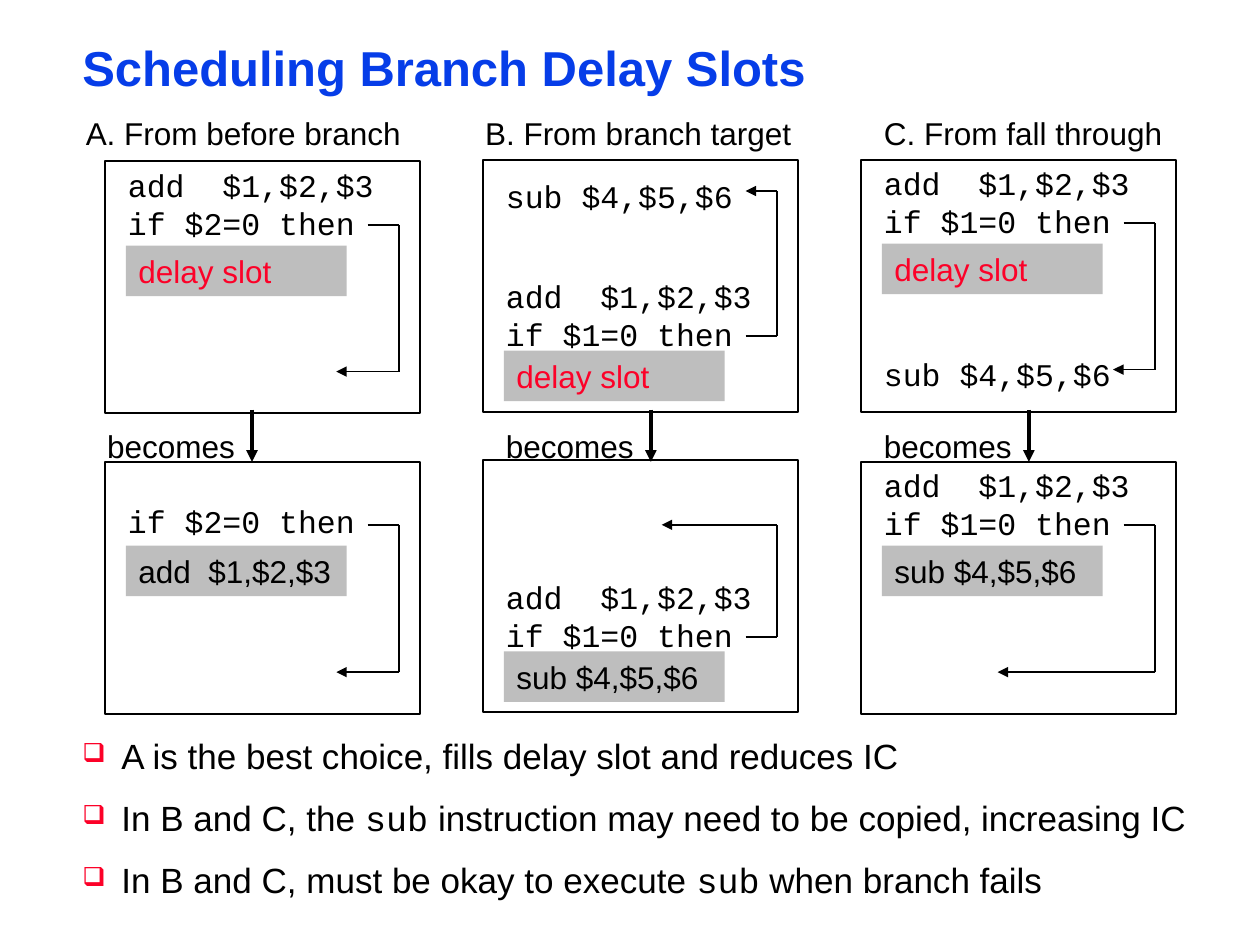
from lxml import etree
from pptx import Presentation
from pptx import util as u
from pptx.dml.color import RGBColor
from pptx.enum import shapes, text
from pptx.oxml.ns import qn

SANS, MONO = "Arial", "Courier New"
BLACK, RED, BLUE, GREY = "000000", "FC0128", "063DE8", "BEBEBE"


def color(value):
    return RGBColor.from_string(value)


class Slide:
    def __init__(self, page):
        self.page = page

    def style(self, para, size, font=SANS, ink=BLACK):
        para.font.size = u.Pt(size)
        para.font.name = font
        para.font.color.rgb = color(ink)
        para.alignment = text.PP_ALIGN.LEFT

    def margins(self, frame, side, end):
        frame.margin_left = frame.margin_right = u.Cm(side)
        frame.margin_top = frame.margin_bottom = u.Cm(end)
        frame.word_wrap = True

    def title(self, words, left, top, width, height):
        box = self.page.shapes.title
        box.left, box.top, box.width, box.height = map(u.Cm, (left, top, width, height))
        frame = box.text_frame
        frame.text = words
        frame.auto_size = text.MSO_AUTO_SIZE.NONE
        frame.vertical_anchor = text.MSO_ANCHOR.MIDDLE
        self.margins(frame, 0.18, 0.08)
        para = frame.paragraphs[0]
        self.style(para, 28, ink=BLUE)
        para.font.bold = True
        para.line_spacing = 0.87

    def label(self, lines, left, top, width, height=1.02, font=SANS):
        box = self.page.shapes.add_textbox(*map(u.Cm, (left, top, width, height)))
        frame = box.text_frame
        self.margins(frame, 0.25, 0.13)
        frame.text = "\n".join(lines)
        for para in frame.paragraphs:
            self.style(para, 18, font)

    def rectangle(self, left, top, width, height):
        box = self.page.shapes.add_shape(
            shapes.MSO_SHAPE.RECTANGLE, *map(u.Cm, (left, top, width, height)))
        box.shadow.inherit = False
        return box

    def frame(self, left, top, width, height):
        box = self.rectangle(left, top, width, height)
        box.fill.background()
        box.line.color.rgb = color(BLACK)
        box.line.width = u.Pt(1)

    def slot(self, words, left, top, ink):
        box = self.rectangle(left, top, 4.45, 1.02)
        box.fill.solid()
        box.fill.fore_color.rgb = color(GREY)
        box.line.fill.background()
        frame = box.text_frame
        self.margins(frame, 0.25, 0.13)
        frame.margin_right = 0
        frame.vertical_anchor = text.MSO_ANCHOR.MIDDLE
        frame.text = words
        self.style(frame.paragraphs[0], 18, ink=ink)

    def line(self, start, end, width=1, arrow=False):
        line = self.page.shapes.add_connector(
            shapes.MSO_CONNECTOR.STRAIGHT, *map(u.Cm, (*start, *end)))
        line.line.color.rgb = color(BLACK)
        line.line.width = u.Pt(width)
        if arrow:
            etree.SubElement(line.line._get_or_add_ln(), qn("a:tailEnd"), type="triangle")
        etree.SubElement(line._element.spPr, qn("a:effectLst"))

    def branch(self, left, right, top, target_left, target_top):
        self.line((left, top), (right, top))
        self.line((right, top), (right, target_top))
        self.line((right, target_top), (target_left, target_top), arrow=True)

    def bullets(self, items, left, top, width, height):
        box = self.page.shapes.add_textbox(*map(u.Cm, (left, top, width, height)))
        frame = box.text_frame
        self.margins(frame, 0.18, 0.08)
        for index, item in enumerate(items):
            para = frame.paragraphs[0] if index == 0 else frame.add_paragraph()
            self.style(para, 20)
            para.line_spacing = 0.9
            para.space_after = u.Pt(13.8)
            for words, font in item:
                span = para.add_run()
                span.text = words
                span.font.name = font
            props = para._p.get_or_add_pPr()
            props.set("marL", str(u.Cm(0.79)))
            props.set("indent", str(u.Cm(-0.79)))
            tint = etree.Element(qn("a:buClr"))
            etree.SubElement(tint, qn("a:srgbClr"), val=RED)
            size = etree.Element(qn("a:buSzPct"), val="75000")
            mark = etree.Element(qn("a:buChar"), char="\u2751")
            for offset, node in enumerate((tint, size, mark)):
                props.insert(2 + offset, node)

    def panel(self, column, top, code_top, code, slot_gap, slot, ink, target):
        left = 2.12 + 7.62 * column
        self.frame(left, top, 6.35, 5.08)
        missing = 2 - len(code)
        self.label(code, left + 0.21, code_top + 0.72 * missing, 5.72,
                   1.78 - 0.72 * missing, MONO)
        self.slot(slot, left + 0.42, code_top + slot_gap, ink)
        self.branch(left + 5.29, left + 5.93, code_top + 1.32, left + target[0], target[1])


deck = Presentation()
deck.slide_width, deck.slide_height = u.Cm(25.4), u.Cm(19.05)
slide = Slide(deck.slides.add_slide(deck.slide_layouts[5]))

slide.title("Scheduling Branch Delay Slots", 1.48, 0.85, 22.66, 1.17)

ADD, SUB = "add  $1,$2,$3", "sub $4,$5,$6"
IF_ONE, IF_TWO = "if $1=0 then", "if $2=0 then"
DELAY = "delay slot"
panels = [
    (0, 3.25, 3.22, [ADD, IF_TWO], 1.73, DELAY, RED, (4.66, 7.49)),
    (1, 3.22, 5.46, [ADD, IF_ONE], 1.61, DELAY, RED, (5.29, 3.85)),
    (2, 3.22, 3.18, [ADD, IF_ONE], 1.73, DELAY, RED, (5.08, 7.45)),
    (0, 9.31, 9.27, [IF_TWO], 1.73, ADD, BLACK, (4.66, 13.55)),
    (1, 9.27, 11.52, [ADD, IF_ONE], 1.61, SUB, BLACK, (3.6, 10.58)),
    (2, 9.31, 9.27, [ADD, IF_ONE], 1.73, SUB, BLACK, (2.75, 13.55)),
]
for panel in panels:
    slide.panel(*panel)

for left, top in ((9.95, 3.43), (17.57, 7.03)):
    slide.label([SUB], left, top, 5.72, font=MONO)

columns = [
    ("A. From before branch", 1.48, 1.91),
    ("B. From branch target", 9.53, 9.95),
    ("C. From fall through", 17.57, 17.57),
]
for heading, heading_left, becomes_left in columns:
    slide.label([heading], heading_left, 2.16, 7.2)
    slide.label(["becomes"], becomes_left, 8.47, 3.18)
    arrow_left = becomes_left + 3.17
    slide.line((arrow_left, 8.26), (arrow_left, 9.31), 2.25, arrow=True)

slide.bullets([
    [("A is the best choice, fills delay slot and reduces IC", SANS)],
    [("In B and C, the ", SANS), ("sub", MONO),
     (" instruction may need to be copied, increasing IC", SANS)],
    [("In B and C, must be okay to execute ", SANS), ("sub", MONO),
     (" when branch fails", SANS)],
], 1.48, 14.82, 22.8, 3.2)

deck.save("out.pptx")
